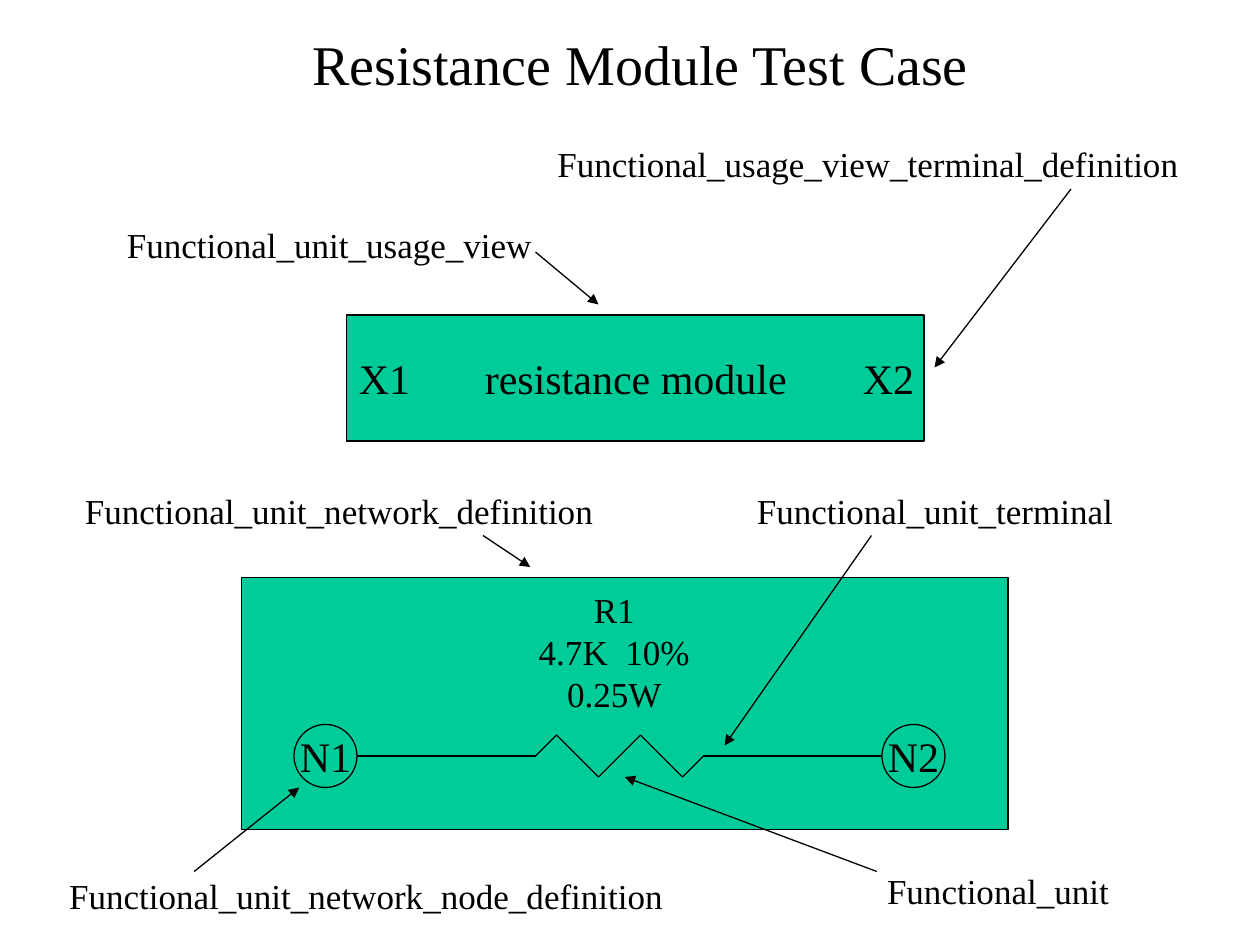
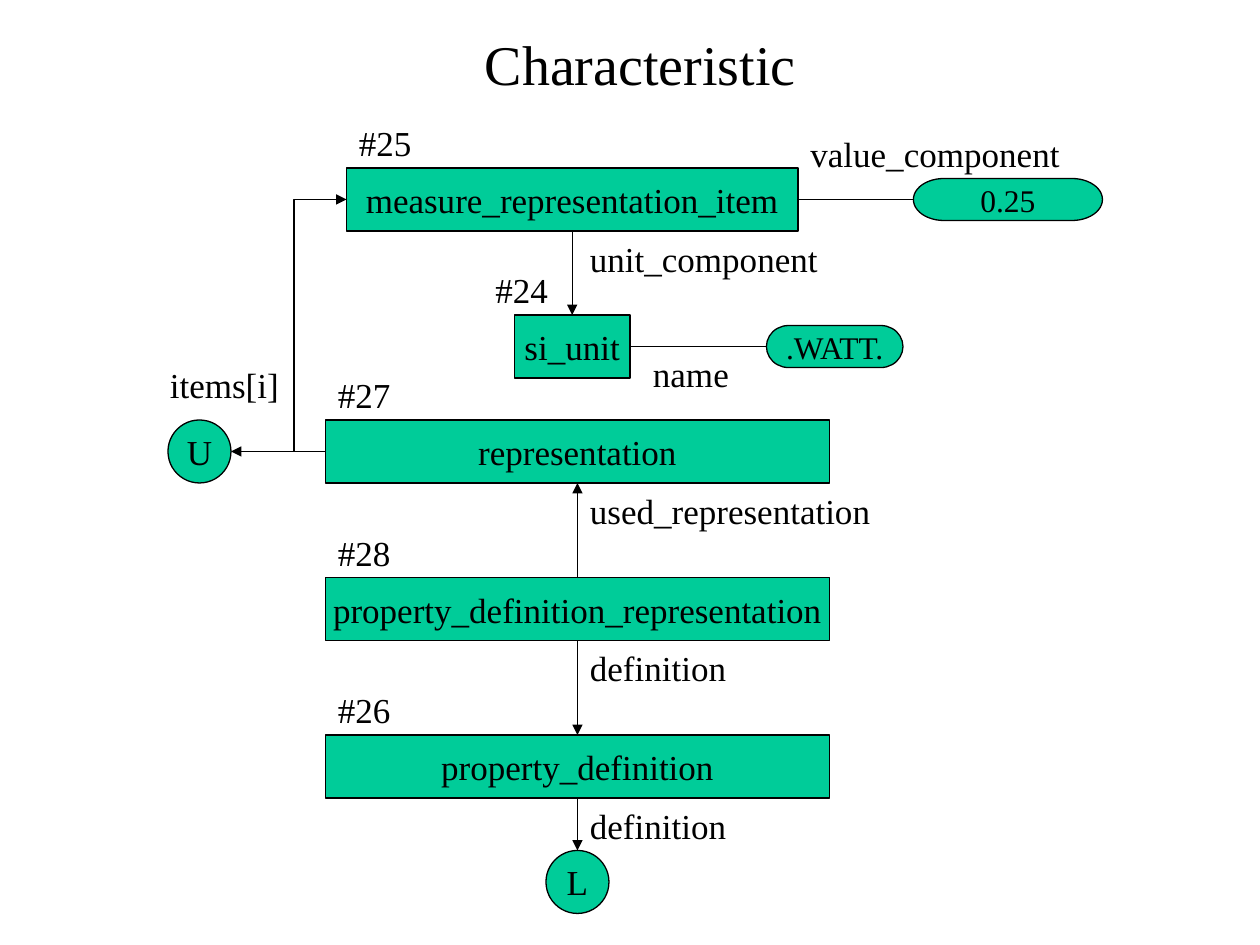
from itertools import pairwise

from lxml.etree import SubElement
from pptx import Presentation
from pptx.dml.color import RGBColor
from pptx.enum.shapes import MSO_CONNECTOR, MSO_SHAPE
from pptx.enum.text import MSO_ANCHOR, MSO_AUTO_SIZE, PP_ALIGN
from pptx.oxml.ns import qn
from pptx.util import Inches, Pt

THEME = {
    "ink": RGBColor(0x00, 0x00, 0x00),
    "fill": RGBColor(0x00, 0xCC, 0x99),
    "font": "Times New Roman",
    "title": 32,
    "large": 24,
    "body": 20,
    "small": 18,
    "line": 0.75,
}
WIDTH, HEIGHT = Inches(10), Inches(7.5)
COLS = 120
UNIT = WIDTH / COLS
TITLE_BOX = (10, 2, 102, 8)
LABEL_H = 5.25
TOP, LEFT, BOTTOM, RIGHT = range(4)

RECT = MSO_SHAPE.RECTANGLE
CIRCLE = MSO_SHAPE.FLOWCHART_CONNECTOR
PILL = MSO_SHAPE.FLOWCHART_TERMINATOR

MODULE = {
    "title": "Resistance Module Test Case",
    "nodes": {
        "module": (RECT, (33, 30, 55, 12), "", "large"),
        "network": (RECT, (23, 55, 73, 24), "", "large"),
        "n1": (CIRCLE, (28, 69, 6, 6), "N1", "large"),
        "n2": (CIRCLE, (84, 69, 6, 6), "N2", "large"),
    },
    "labels": [
        ("X1", 33, 33, 11, "large"),
        ("resistance module", 45, 33, 31.5, "large"),
        ("X2", 81, 33, 8, "large"),
        ("Functional_usage_view_terminal_definition", 51.9, 13, 62, "body"),
        ("Functional_unit_usage_view", 10.9, 20.7, 41.5, "body"),
        ("Functional_unit_network_definition", 6.9, 46, 51.2, "body"),
        ("Functional_unit_terminal", 70.9, 46, 36.8, "body"),
        ("Functional_unit_network_node_definition", 5.4, 82.7, 59.4, "body"),
        ("Functional_unit", 83.3, 82.2, 24, "body"),
    ],
    "arrows": [
        ((51, 24), (57, 29)),
        ((102, 18), (89, 35)),
        ((46, 51), (50.5, 54)),
        ((83, 51), (69, 71)),
        ((18.5, 83), (28.5, 75)),
        ((83.5, 83), (59.5, 74)),
    ],
}
RATINGS = ["R1", "4.7K  10%", "0.25W"]
RATING_BOX = (49, 56, 19, 4)
RESISTOR = [(34, 72), (51, 72), (53, 70), (57, 74), (61, 70), (65, 74), (67, 72), (84, 72)]

CHARACTERISTIC = {
    "title": "Characteristic",
    "nodes": {
        "measure": (RECT, (33, 16, 43, 6), "measure_representation_item", "body"),
        "unit": (RECT, (49, 30, 11, 6), "si_unit", "body"),
        "representation": (RECT, (31, 40, 48, 6), "representation", "body"),
        "link": (RECT, (31, 55, 48, 6), "property_definition_representation", "body"),
        "property": (RECT, (31, 70, 48, 6), "property_definition", "body"),
        "value": (PILL, (87, 17, 18, 4), "0.25", "small"),
        "watt": (PILL, (73, 31, 13, 4), ".WATT.", "small"),
        "u": (CIRCLE, (16, 40, 6, 6), "U", "body"),
        "l": (CIRCLE, (52, 81, 6, 6), "L", "body"),
    },
    "labels": [
        ("value_component", 76, 12, 26.5, "body"),
        ("unit_component", 55, 22, 24.5, "body"),
        ("name", 61, 33, 10, "body"),
        ("items[i]", 15, 34, 13, "body"),
        ("used_representation", 55, 46, 29.5, "body"),
        ("definition", 55, 61, 15.7, "body"),
        ("definition", 55, 76, 15.7, "body"),
    ],
    "arrows": [],
}
TAGS = [
    ("measure", "#25", 0),
    ("unit", "#24", -3),
    ("representation", "#27", 0),
    ("link", "#28", 0),
    ("property", "#26", 0),
]
TAG_RISE, TAG_W = 5, 7.6
JOINS = [
    ("measure", BOTTOM, "unit", TOP, True),
    ("measure", RIGHT, "value", LEFT, False),
    ("unit", RIGHT, "watt", LEFT, False),
    ("link", TOP, "representation", BOTTOM, True),
    ("link", BOTTOM, "property", TOP, True),
    ("property", BOTTOM, "l", TOP, True),
    ("representation", LEFT, "u", RIGHT, True),
]
ITEMS_ELBOW = ((31, 43), (33, 19))
ELBOW_REACH = -1.5


def grid(*cells):
    return [round(c * UNIT) for c in cells]


def apply(obj, values):
    for name, value in values.items():
        setattr(obj, name, value)


def write(sp, text, size, align, frame):
    tf = sp.text_frame
    apply(tf, frame)
    p = tf.paragraphs[0]
    p.alignment = align
    r = p.add_run()
    r.text = text
    apply(r.font, {"name": THEME["font"], "size": Pt(THEME[size])})
    r.font.color.rgb = THEME["ink"]


def outline(obj):
    obj.line.color.rgb = THEME["ink"]
    obj.line.width = Pt(THEME["line"])


def add_node(s, kind, box, text, size):
    sp = s.shapes.add_shape(kind, *grid(*box))
    sp.shadow.inherit = False
    sp.fill.solid()
    sp.fill.fore_color.rgb = THEME["fill"]
    outline(sp)
    if text:
        write(sp, text, size, PP_ALIGN.CENTER,
              {"word_wrap": False, "vertical_anchor": MSO_ANCHOR.MIDDLE})
    return sp


def add_text(s, box, text, size, align=PP_ALIGN.LEFT, **frame):
    write(s.shapes.add_textbox(*grid(*box)), text, size, align, frame)


def add_label(s, text, x, y, w, size):
    add_text(s, (x, y, w, LABEL_H), text, size,
             word_wrap=False, auto_size=MSO_AUTO_SIZE.SHAPE_TO_FIT_TEXT)


def add_line(s, start, end, arrow=True, kind=MSO_CONNECTOR.STRAIGHT):
    cx = s.shapes.add_connector(kind, *grid(*start, *end))
    outline(cx)
    if arrow:
        SubElement(cx.line._get_or_add_ln(), qn("a:tailEnd"), type="triangle")
    SubElement(cx._element.spPr, qn("a:effectLst"))
    return cx


def side(box, site):
    x, y, w, h = box
    return [(x + w / 2, y), (x, y + h / 2), (x + w / 2, y + h), (x + w, y + h / 2)][site]


def add_slide(prs, content):
    s = prs.slides.add_slide(prs.slide_layouts[6])
    add_text(s, TITLE_BOX, content["title"], "title", PP_ALIGN.CENTER,
             word_wrap=True, vertical_anchor=MSO_ANCHOR.MIDDLE)
    shapes = {name: add_node(s, *node) for name, node in content["nodes"].items()}
    for label in content["labels"]:
        add_label(s, *label)
    for start, end in content["arrows"]:
        add_line(s, start, end)
    return s, shapes


def build_module(prs):
    s, _ = add_slide(prs, MODULE)
    for start, end in pairwise(RESISTOR):
        add_line(s, start, end, arrow=False)
    x, y, w, h = RATING_BOX
    for row, text in enumerate(RATINGS):
        add_text(s, (x, y + row * h, w, h), text, "body", PP_ALIGN.CENTER,
                 word_wrap=True, margin_top=0, margin_bottom=0)


def build_characteristic(prs):
    s, shapes = add_slide(prs, CHARACTERISTIC)
    nodes = CHARACTERISTIC["nodes"]
    for name, tag, shift in TAGS:
        x, y = nodes[name][1][:2]
        add_label(s, tag, x + shift, y - TAG_RISE, TAG_W, "body")
    for a, a_site, b, b_site, arrow in JOINS:
        cx = add_line(s, side(nodes[a][1], a_site), side(nodes[b][1], b_site), arrow)
        cx.begin_connect(shapes[a], a_site)
        if nodes[b][0] != CIRCLE:
            cx.end_connect(shapes[b], b_site)
    elbow = add_line(s, *ITEMS_ELBOW, kind=MSO_CONNECTOR.ELBOW)
    guides = elbow._element.spPr.find(qn("a:prstGeom")).find(qn("a:avLst"))
    SubElement(guides, qn("a:gd"), name="adj1", fmla=f"val {round(ELBOW_REACH * 100000)}")


def main():
    prs = Presentation()
    apply(prs, {"slide_width": WIDTH, "slide_height": HEIGHT})
    build_module(prs)
    build_characteristic(prs)
    prs.save("out.pptx")


if __name__ == "__main__":
    main()
